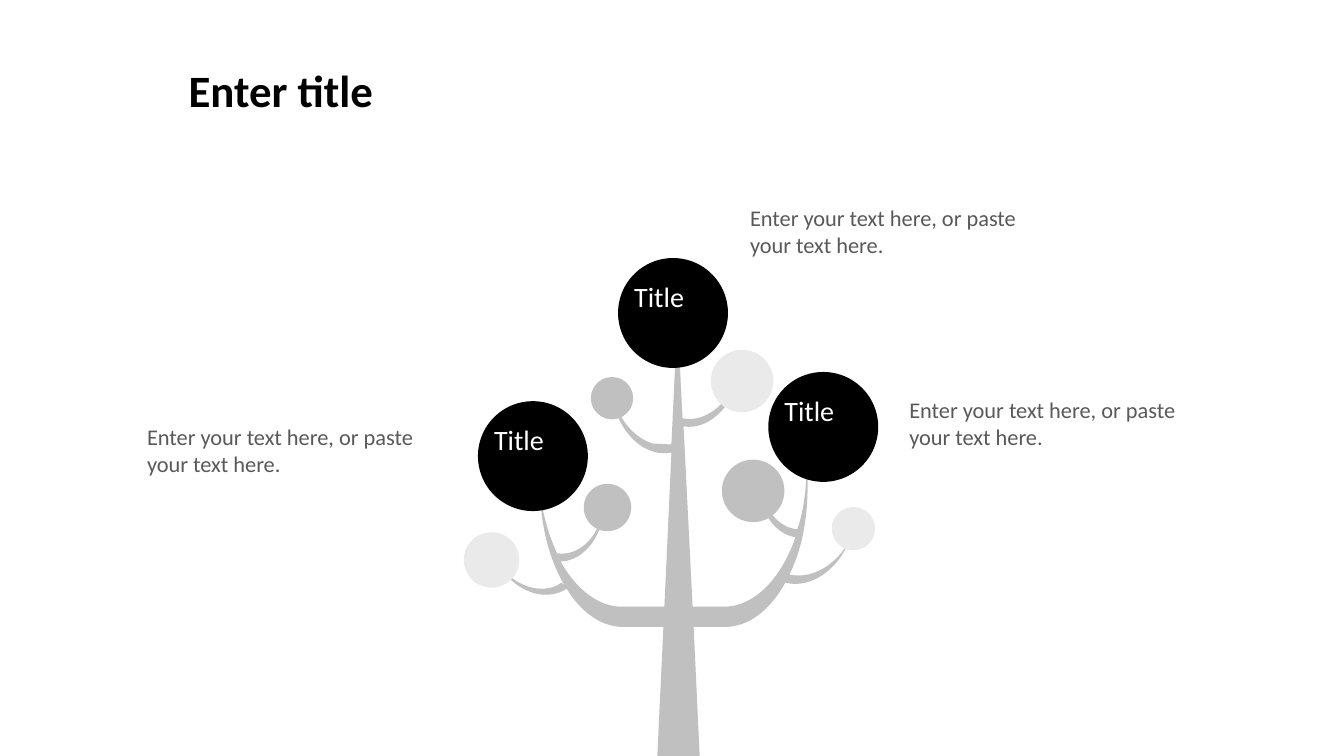
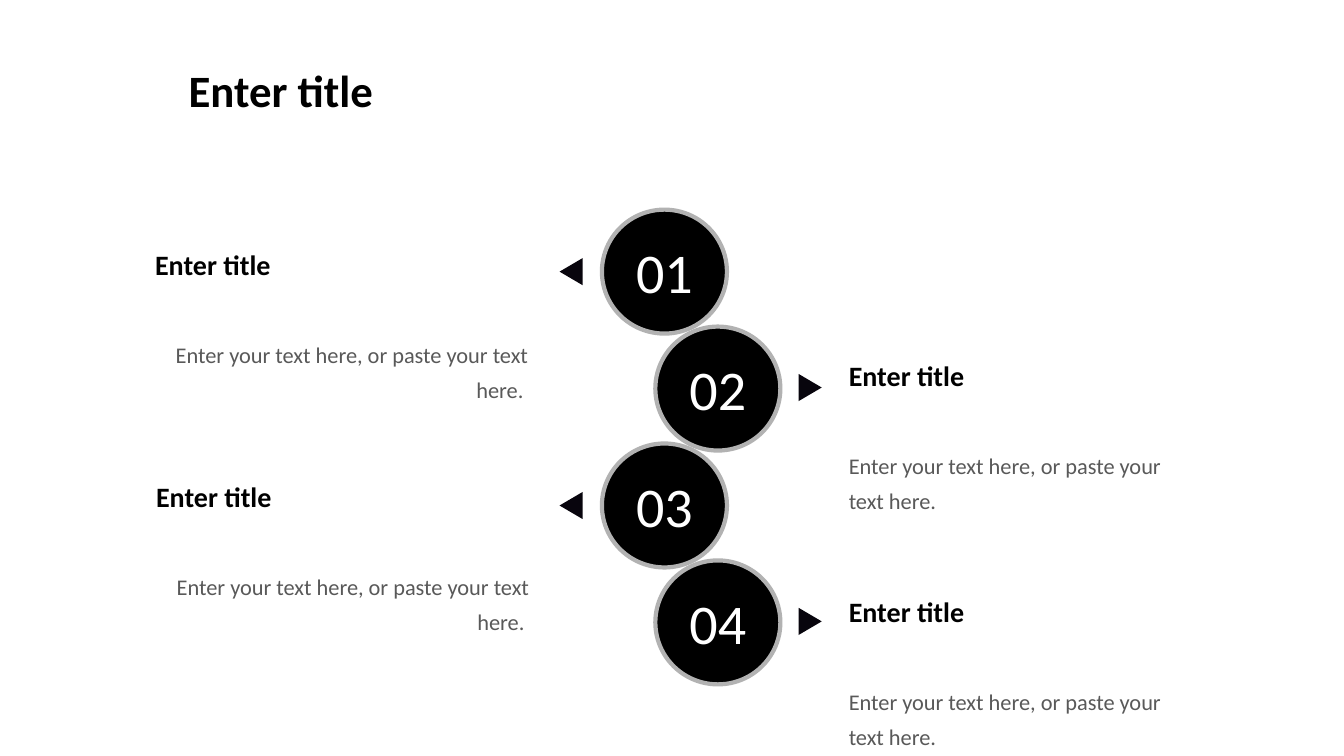
from dataclasses import dataclass

from lxml import etree
from pptx import Presentation
from pptx.dml.color import RGBColor
from pptx.enum.shapes import MSO_SHAPE
from pptx.enum.text import MSO_ANCHOR, MSO_AUTO_SIZE, PP_ALIGN
from pptx.oxml.ns import qn
from pptx.util import Inches, Pt

OVAL, TRIANGLE = MSO_SHAPE.OVAL, MSO_SHAPE.ISOSCELES_TRIANGLE
LEFT, CENTER, RIGHT = PP_ALIGN.LEFT, PP_ALIGN.CENTER, PP_ALIGN.RIGHT
MIDDLE, TOP = MSO_ANCHOR.MIDDLE, MSO_ANCHOR.TOP
NO_FIT = MSO_AUTO_SIZE.NONE

# Shared style
FONT = "Calibri"
BLACK = RGBColor(0x00, 0x00, 0x00)
WHITE = RGBColor(0xFF, 0xFF, 0xFF)
GRAY = RGBColor(0x59, 0x59, 0x59)
BARK = RGBColor(0xC0, 0xC0, 0xC0)
PALE = RGBColor(0xEA, 0xEA, 0xEA)
RING = RGBColor(0xB2, 0xB2, 0xB2)
ARROW = RGBColor(0x08, 0x05, 0x0D)
HEADING = "Enter title"
BODY = "Enter your text here, or paste your text here. "
TITLE_ONLY = 5


@dataclass(frozen=True)
class Circle:
    x: float
    y: float
    size: float
    color: RGBColor
    label: str = ""


@dataclass(frozen=True)
class TextBlock:
    x: float
    y: float
    w: float
    h: float
    align: PP_ALIGN = LEFT


CIRCLES = (
    Circle(6.13, 2.56, 1.09, BLACK, "Title"),
    Circle(7.62, 3.69, 1.09, BLACK, "Title"),
    Circle(7.16, 4.56, 0.62, BARK),
    Circle(8.25, 5.03, 0.43, PALE),
    Circle(7.05, 3.47, 0.62, PALE),
    Circle(4.74, 3.98, 1.09, BLACK, "Title"),
    Circle(5.79, 4.80, 0.47, BARK),
    Circle(4.60, 5.28, 0.55, PALE),
    Circle(5.86, 3.74, 0.42, BARK),
)
NOTES = (
    TextBlock(7.34, 1.98, 3.12, 0.9),
    TextBlock(8.92, 3.88, 3.12, 0.9),
    TextBlock(1.36, 4.15, 3.12, 0.9),
)
STEPS = (
    TextBlock(1.44, 2.41, 3.9, 1.44, RIGHT),
    TextBlock(8.32, 3.51, 3.64, 1.44),
    TextBlock(1.45, 4.71, 3.9, 1.44, RIGHT),
    TextBlock(8.32, 5.85, 3.64, 1.44),
)

# Tree outline in inches: two numbers make a line, six a Bézier curve
TREE_START = (6.72, 3.14)
TREE = (
    (6.77, 4.15),
    (7.01, 4.2, 7.26, 3.98, 7.34, 3.67),
    (7.34, 3.66, 7.34, 3.65, 7.35, 3.64),
    (7.34, 3.67, 7.34, 3.71, 7.33, 3.75),
    (7.25, 4.06, 7.01, 4.27, 6.78, 4.23),
    (6.87, 6.02), (7.18, 6.02),
    (7.48, 6.02, 7.75, 5.74, 7.89, 5.33),
    (7.69, 5.3, 7.54, 5.09, 7.54, 4.83),
    (7.54, 4.79, 7.55, 4.76, 7.55, 4.73),
    (7.55, 4.74, 7.55, 4.75, 7.55, 4.76),
    (7.55, 5.02, 7.71, 5.24, 7.91, 5.25),
    (7.97, 5.07, 8, 4.85, 8, 4.63),
    (8, 4.6, 8, 4.58, 8, 4.55),
    (8.01, 4.64, 8.01, 4.73, 8.01, 4.83),
    (8.01, 5.16, 7.95, 5.46, 7.83, 5.7),
    (8.05, 5.75, 8.3, 5.61, 8.44, 5.34),
    (8.44, 5.33, 8.45, 5.32, 8.45, 5.31),
    (8.44, 5.35, 8.42, 5.39, 8.4, 5.42),
    (8.27, 5.69, 8.01, 5.84, 7.79, 5.78),
    (7.64, 6.05, 7.43, 6.22, 7.19, 6.22),
    (6.88, 6.22), (6.94, 7.5), (6.52, 7.5), (6.58, 6.22), (6.18, 6.22),
    (5.96, 6.22, 5.76, 6.07, 5.62, 5.84),
    (5.45, 5.96, 5.18, 5.9, 5.01, 5.69),
    (4.99, 5.66, 4.97, 5.63, 4.95, 5.6),
    (4.97, 5.63),
    (5.14, 5.84, 5.41, 5.9, 5.57, 5.78),
    (5.6, 5.81),
    (5.46, 5.57, 5.37, 5.26, 5.36, 4.91),
    (5.39, 5.13, 5.45, 5.33, 5.53, 5.5),
    (5.53, 5.49),
    (5.74, 5.52, 5.94, 5.33, 5.98, 5.06),
    (5.98, 5.05, 5.98, 5.04, 5.98, 5.03),
    (5.98, 5.06, 5.98, 5.1, 5.98, 5.13),
    (5.93, 5.39, 5.75, 5.57, 5.56, 5.57),
    (5.71, 5.84, 5.93, 6.02, 6.17, 6.02),
    (6.59, 6.02), (6.66, 4.49),
    (6.42, 4.54, 6.17, 4.33, 6.09, 4.02),
    (6.08, 3.98, 6.08, 3.94, 6.07, 3.9),
    (6.08, 3.93),
    (6.14, 4.17, 6.29, 4.34, 6.47, 4.4),
    (6.65, 4.41), (6.66, 4.4),
)


def write(tf, text: str, *, size: int, color: RGBColor, bold: bool = False,
          align: PP_ALIGN = LEFT, spacing: float = 1.0, before: int = 0) -> None:
    """Fill the first paragraph if it is free, otherwise add one."""
    p = tf.add_paragraph() if tf.text else tf.paragraphs[0]
    p.alignment, p.line_spacing, p.space_before = align, spacing, Pt(before)
    r = p.add_run()
    r.text = text
    r.font.name, r.font.size, r.font.bold = FONT, Pt(size), bold
    r.font.color.rgb = color


def set_frame(tf, anchor: MSO_ANCHOR, *, inset: float = 0, bottom: float = 0) -> None:
    tf.word_wrap, tf.auto_size, tf.vertical_anchor = True, NO_FIT, anchor
    tf.margin_top = Inches(0.05 if inset else 0)
    tf.margin_left = tf.margin_right = Inches(inset)
    tf.margin_bottom = Inches(bottom)


def paint(sp, fill: RGBColor, line: RGBColor | None = None) -> None:
    sp.shadow.inherit = False
    sp.fill.solid()
    sp.fill.fore_color.rgb = fill
    if line is None:
        sp.line.fill.background()
    else:
        sp.line.color.rgb, sp.line.width = line, Pt(3)


def add_preset(s, kind: MSO_SHAPE, x: float, y: float, w: float, h: float,
               fill: RGBColor, line: RGBColor | None = None):
    sp = s.shapes.add_shape(kind, Inches(x), Inches(y), Inches(w), Inches(h))
    paint(sp, fill, line)
    return sp


def add_text_block(s, block: TextBlock):
    box = s.shapes.add_textbox(Inches(block.x), Inches(block.y),
                               Inches(block.w), Inches(block.h))
    tf = box.text_frame
    set_frame(tf, TOP, inset=0.1, bottom=0.05)
    return tf


def new_slide(prs):
    s = prs.slides.add_slide(prs.slide_layouts[TITLE_ONLY])
    title = s.shapes.title
    title.left, title.top = Inches(1.77), Inches(0.67)
    title.width, title.height = Inches(10.73), Inches(0.91)
    set_frame(title.text_frame, MIDDLE, inset=0.1, bottom=0.52)
    write(title.text_frame, HEADING, size=32, color=BLACK, bold=True)
    return s


def add_tree(s) -> None:
    x, y = TREE_START
    outline = s.shapes.build_freeform(Inches(x), Inches(y))
    outline.add_line_segments([(Inches(part[-2]), Inches(part[-1])) for part in TREE])
    sp = outline.convert_to_shape()
    paint(sp, BARK)
    # Turn the six-number parts into true curves
    for part, line in zip(TREE, list(sp.element.iter(qn("a:lnTo")))):
        if len(part) == 6:
            curve = etree.Element(qn("a:cubicBezTo"))
            for x, y in zip(part[::2], part[1::2]):
                etree.SubElement(curve, qn("a:pt"), x=str(Inches(x) - sp.left),
                                 y=str(Inches(y) - sp.top))
            line.getparent().replace(line, curve)


def tree_slide(prs) -> None:
    s = new_slide(prs)
    add_tree(s)
    # Crown
    for c in CIRCLES:
        sp = add_preset(s, OVAL, c.x, c.y, c.size, c.size, c.color)
        if c.label:
            set_frame(sp.text_frame, MIDDLE, bottom=0.33)
            write(sp.text_frame, c.label, size=20, color=WHITE)
    # Notes beside the black circles
    for block in NOTES:
        write(add_text_block(s, block), BODY, size=16, color=GRAY)


def steps_slide(prs) -> None:
    s = new_slide(prs)
    pitch = 1.16
    for i, block in enumerate(STEPS):
        on_left = i % 2 == 0
        # Numbered circle
        sp = add_preset(s, OVAL, 5.97 if on_left else 6.5, 2.08 + i * pitch,
                        1.24, 1.23, BLACK, RING)
        set_frame(sp.text_frame, MIDDLE)
        write(sp.text_frame, f"{i + 1:02}", size=40, color=WHITE, align=CENTER)
        # Pointer
        pointer = add_preset(s, TRIANGLE, 5.53 if on_left else 7.9,
                             (2.58 if on_left else 2.57) + i * pitch,
                             0.27, 0.23, ARROW)
        pointer.rotation = 270 if on_left else 90
        # Heading and text
        tf = add_text_block(s, block)
        write(tf, HEADING, size=20, color=BLACK, bold=True)
        write(tf, BODY, size=16, color=GRAY, align=block.align,
              spacing=1.3, before=37)


def main() -> None:
    prs = Presentation()
    prs.slide_width, prs.slide_height = Inches(13.33), Inches(7.5)
    tree_slide(prs)
    steps_slide(prs)
    prs.save("out.pptx")


if __name__ == "__main__":
    main()
